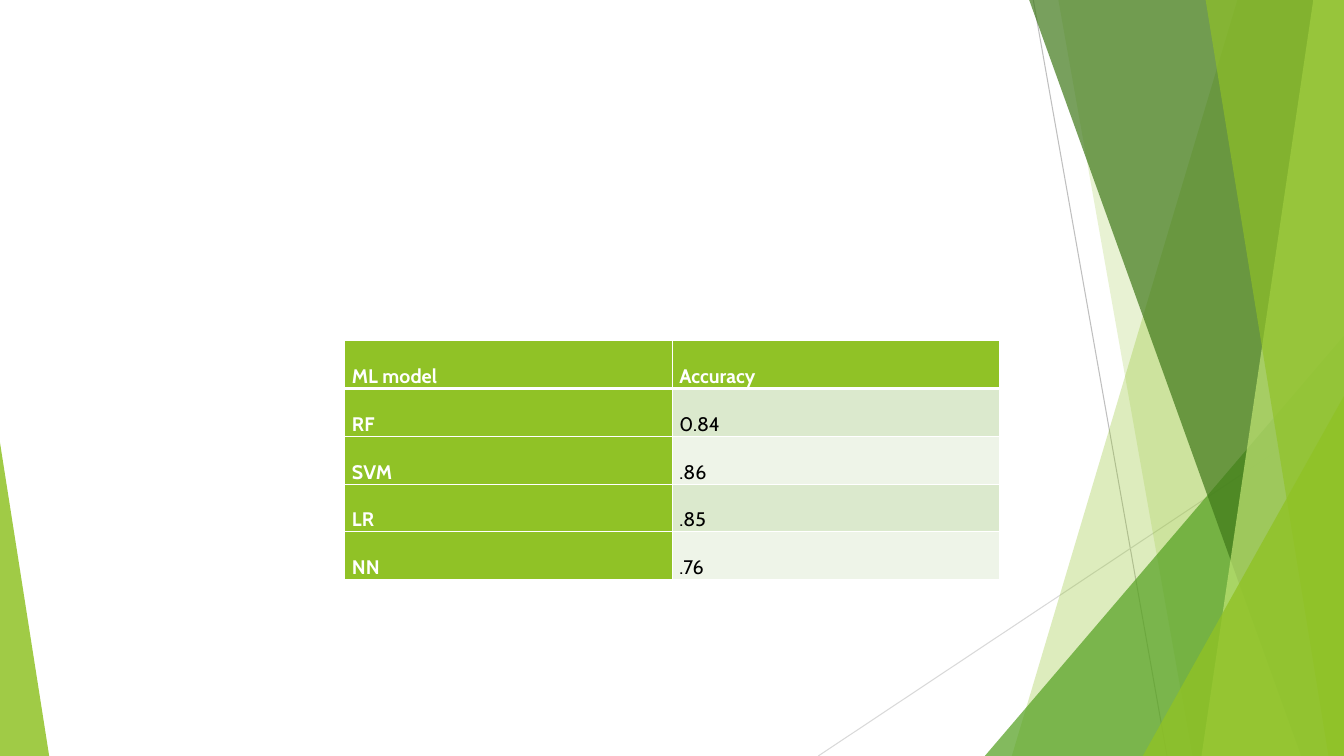
from lxml import etree
from pptx import Presentation
from pptx.dml.color import RGBColor
from pptx.enum.shapes import MSO_CONNECTOR, MSO_SHAPE
from pptx.enum.text import PP_ALIGN
from pptx.oxml.ns import qn
from pptx.util import Cm, Pt

STRAIGHT = MSO_CONNECTOR.STRAIGHT
TRIANGLE = MSO_SHAPE.ISOSCELES_TRIANGLE
JUSTIFY = PP_ALIGN.JUSTIFY

LIME = RGBColor(0x90, 0xC2, 0x26)
GREEN = RGBColor(0x54, 0xA0, 0x21)
DARK_GREEN = RGBColor(0x3F, 0x78, 0x19)
PALE_LIME = RGBColor(0xC0, 0xE4, 0x74)
BAND_DARK = RGBColor(0xDB, 0xE9, 0xCD)
BAND_LIGHT = RGBColor(0xEE, 0xF4, 0xE8)
GREY = RGBColor(0xBF, 0xBF, 0xBF)
LIGHT_GREY = RGBColor(0xD9, 0xD9, 0xD9)
WHITE = RGBColor(0xFF, 0xFF, 0xFF)
BLACK = RGBColor(0, 0, 0)

FONT = "Cabin"
WIDTH, HEIGHT = 33.87, 19.05
BAND_TOP = -0.02

ACCURACY_ROWS = [
    ("ML model", "Accuracy"),
    ("RF", "0.84"),
    ("SVM", ".86"),
    ("LR", ".85"),
    ("NN", ".76"),
]


def paint(shape, color, opacity):
    """Fill a shape with a see-through colour, without outline or shadow."""
    shape.shadow.inherit = False
    shape.line.fill.background()
    shape.fill.solid()
    shape.fill.fore_color.rgb = color
    color_element = shape.fill._xPr.find(qn("a:solidFill"))[0]
    etree.SubElement(color_element, qn("a:alpha"), val=str(opacity * 1000))


def add_line(slide, start, end, color):
    line = slide.shapes.add_connector(STRAIGHT, *map(Cm, start + end))
    line.line.color.rgb = color
    line.line.width = Pt(0.75)
    etree.SubElement(line._element.spPr, qn("a:effectLst"))


def add_band(slide, top_x, bottom_x, color, opacity):
    """Add a band from a slanted left edge to the right slide edge."""
    corners = [(WIDTH, BAND_TOP), (WIDTH, HEIGHT), (bottom_x, HEIGHT)]
    builder = slide.shapes.build_freeform(Cm(top_x), Cm(BAND_TOP))
    builder.add_line_segments([(Cm(x), Cm(y)) for x, y in corners], close=True)
    paint(builder.convert_to_shape(), color, opacity)


def add_triangle(slide, left, top, right, apex, color, opacity):
    """Add a triangle that stands on the bottom slide edge."""
    shape = slide.shapes.add_shape(
        TRIANGLE, Cm(left), Cm(top), Cm(right - left), Cm(HEIGHT - top))
    shape.adjustments[0] = apex
    paint(shape, color, opacity)


def set_borders(cell, top, bottom):
    properties = cell._tc.get_or_add_tcPr()
    widths = [("a:lnL", 1), ("a:lnR", 1), ("a:lnT", top), ("a:lnB", bottom)]
    for position, (tag, width) in enumerate(widths):
        border = etree.Element(qn(tag), w=str(Pt(width)))
        fill = etree.SubElement(border, qn("a:solidFill"))
        etree.SubElement(fill, qn("a:srgbClr"), val=str(WHITE))
        properties.insert(position, border)


def format_cell(cell, text, fill, font_color, bold):
    cell.fill.solid()
    cell.fill.fore_color.rgb = fill
    cell.margin_left = cell.margin_right = Cm(0.18)
    cell.margin_top = cell.margin_bottom = 0
    cell.text_frame.text = text
    paragraph = cell.text_frame.paragraphs[0]
    paragraph.alignment = JUSTIFY
    paragraph.line_spacing = 2.0
    paragraph.space_after = Pt(8)
    font = paragraph.runs[0].font
    font.name, font.size, font.bold = FONT, Pt(14), bold
    font.color.rgb = font_color


def add_accuracy_table(slide):
    row_count, column_count = len(ACCURACY_ROWS), len(ACCURACY_ROWS[0])
    table = slide.shapes.add_table(
        row_count, column_count, Cm(8.69), Cm(8.59),
        Cm(16.5), Cm(1.2 * row_count)).table
    for row, texts in enumerate(ACCURACY_ROWS):
        for column, text in enumerate(texts):
            cell = table.cell(row, column)
            if row == 0 or column == 0:
                format_cell(cell, text, LIME, WHITE, True)
            else:
                band = BAND_DARK if row % 2 else BAND_LIGHT
                format_cell(cell, text, band, BLACK, False)
            set_borders(cell, 3 if row == 1 else 1, 3 if row == 0 else 1)


def main():
    presentation = Presentation()
    presentation.slide_width = Cm(WIDTH)
    presentation.slide_height = Cm(HEIGHT)
    slide = presentation.slides.add_slide(presentation.slide_layouts[6])

    # Thin lines behind the bands
    add_line(slide, (26.04, 0), (29.41, HEIGHT), GREY)
    add_line(slide, (WIDTH, 10.24), (20.62, HEIGHT), LIGHT_GREY)

    # Overlapping green facets, back to front
    add_band(slide, 31.19, 25.5, LIME, 30)
    add_band(slide, 26.67, 30.05, LIME, 20)
    add_triangle(slide, 24.82, 8.46, WIDTH, 1, GREEN, 72)
    add_band(slide, 25.93, 32.79, DARK_GREEN, 70)
    add_band(slide, 33.1, 30.28, PALE_LIME, 70)
    add_band(slide, 30.38, 33.48, LIME, 65)
    add_triangle(slide, 28.8, 9.98, WIDTH, 1, LIME, 80)
    add_triangle(slide, 0, 11.15, 1.24, 0, LIME, 85)

    # Model results
    add_accuracy_table(slide)

    presentation.save("out.pptx")


if __name__ == "__main__":
    main()
